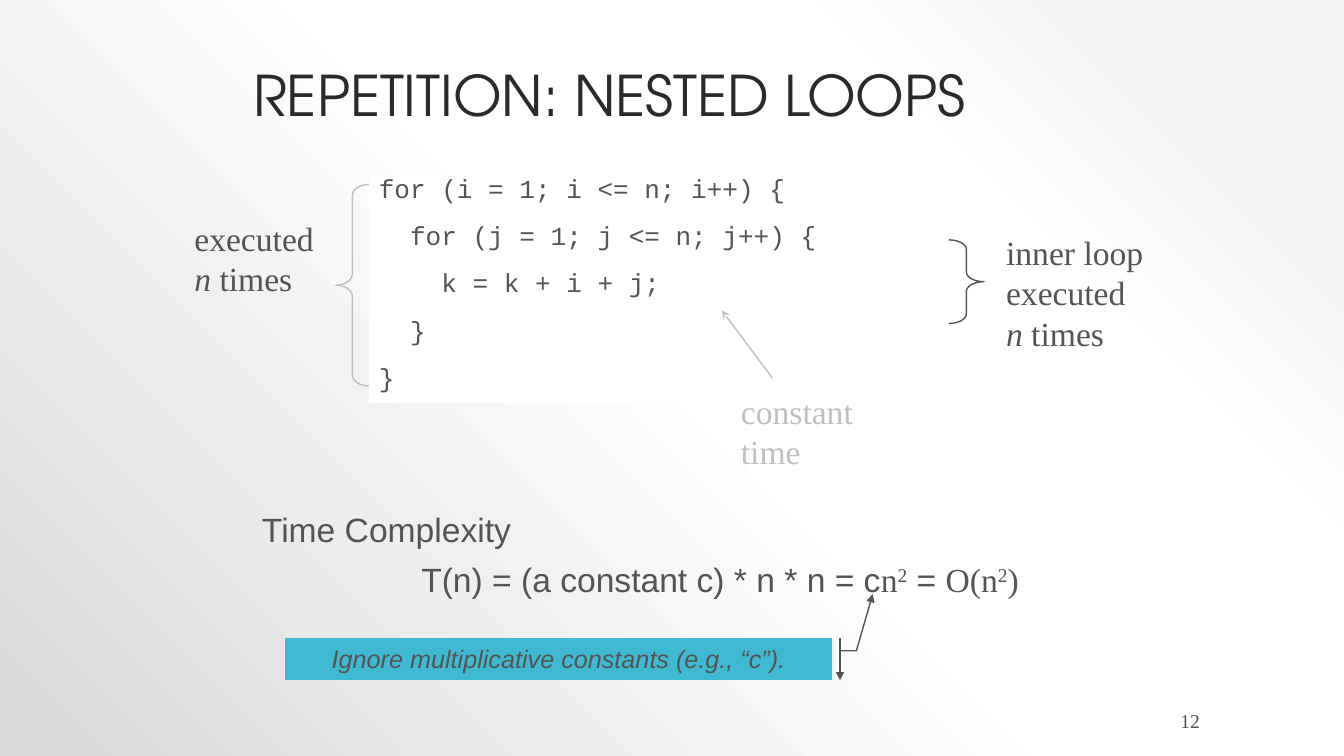
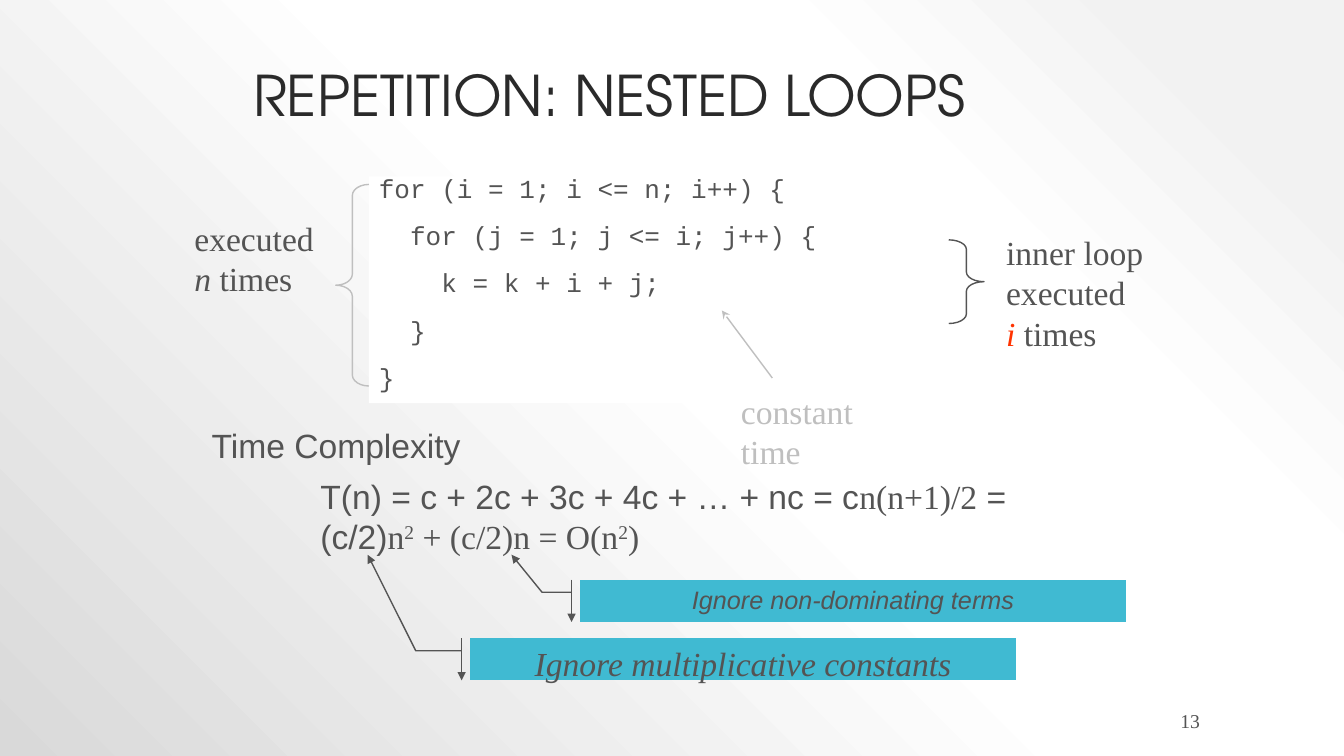
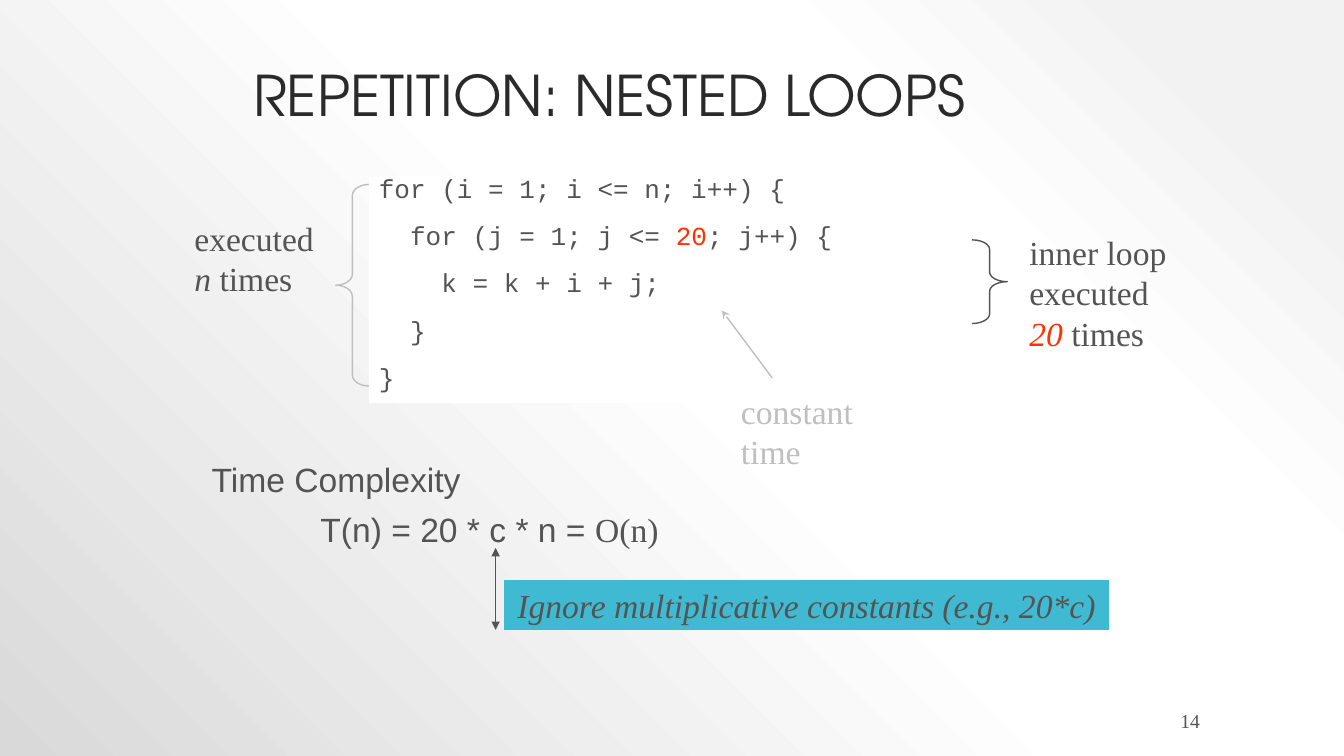
from dataclasses import dataclass

from lxml import etree
from pptx import Presentation
from pptx.dml.color import RGBColor
from pptx.enum.shapes import MSO_CONNECTOR, MSO_SHAPE
from pptx.enum.text import MSO_ANCHOR, MSO_AUTO_SIZE, PP_ALIGN
from pptx.oxml import parse_xml
from pptx.oxml.ns import nsdecls, qn
from pptx.util import Inches, Pt

LEFT, CENTER, RIGHT = PP_ALIGN.LEFT, PP_ALIGN.CENTER, PP_ALIGN.RIGHT
TOP, MIDDLE, BOTTOM = MSO_ANCHOR.TOP, MSO_ANCHOR.MIDDLE, MSO_ANCHOR.BOTTOM
NO_FIT, GROW = MSO_AUTO_SIZE.NONE, MSO_AUTO_SIZE.SHAPE_TO_FIT_TEXT
RECTANGLE = MSO_SHAPE.RECTANGLE
LEFT_BRACE, RIGHT_BRACE = MSO_SHAPE.LEFT_BRACE, MSO_SHAPE.RIGHT_BRACE
CALLOUT = MSO_SHAPE.LINE_CALLOUT_2_ACCENT_BAR
STRAIGHT = MSO_CONNECTOR.STRAIGHT


@dataclass(frozen=True)
class Theme:
    ink: str = "545454"
    title: str = "2A2A2A"
    muted: str = "BFBFBF"
    accent: str = "40BAD2"
    highlight: str = "FF3300"
    paper: str = "FFFFFF"
    backdrop: tuple = ((10, "F2F2F2"), (28, "FFFFFF"), (48, "FFFFFF"), (100, "D9D9D9"))
    title_font: str = "TeX Gyre Adventor"
    sans: str = "Arial"
    serif: str = "Times New Roman"
    mono: str = "Courier New"
    title_size: float = 40
    body_size: float = 24
    note_size: float = 18
    code_size: float = 18.6
    number_size: float = 14


THEME = Theme()

# Run styles: each lists what differs from serif body text
SANS = {"font": THEME.sans}
SERIF = {}
SUPER = {"superscript": True}
ITALIC = {"italic": True}
RED_ITALIC = {"italic": True, "color": THEME.highlight}
MUTED = {"color": THEME.muted}
NOTE = {"font": THEME.sans, "size": THEME.note_size, "italic": True}
CODE = {"font": THEME.mono, "size": THEME.code_size}
RED_CODE = {**CODE, "color": THEME.highlight}
TITLE = {"font": THEME.title_font, "size": THEME.title_size, "color": THEME.title}
NUMBER = {"size": THEME.number_size}

# Content
TITLE_TEXT = "REPETITION: NESTED LOOPS"
FIRST_NUMBER = 12
SLIDES = [
    {
        "limit": ("n", CODE),
        "inner_count": ("n", ITALIC),
        "brace_left": 9.41,
        "heading_at": (2.5, 5),
        "formula_box": (4.08, 5.5, 6.42, 0.5),
        "formula": [("T(n) = (a constant c) * n * n = c", SANS), ("n", SERIF), ("2", SUPER),
                    (" = ", SANS), ("O(n", SERIF), ("2", SUPER), (")", SERIF)],
        "callouts": [
            ((2.83, 6.33, 5.42, 0.42), (0.3, 1.015, 0.3, 1.045, -1.042, 1.075),
             ("Ignore multiplicative constants (e.g., “c”).", NOTE)),
        ],
    },
    {
        "limit": ("i", CODE),
        "inner_count": ("i", RED_ITALIC),
        "brace_left": 9.41,
        "heading_at": (2, 4.17),
        "formula_box": (3.08, 4.67, 7.42, 0.91),
        "formula": [("T(n) = c + 2c + 3c + 4c + … + nc = c", SANS), ("n(n+1)/2", SERIF),
                    (" = (c/2)", SANS), ("n", SERIF), ("2", SUPER),
                    (" + (c/2)n = O(n", SERIF), ("2", SUPER), (")", SERIF)],
        "callouts": [
            ((5.75, 5.75, 5.42, 0.42), (0.3, -0.015, 0.3, -0.069, -0.588, -0.125),
             ("Ignore non-dominating terms", NOTE)),
            ((4.66, 6.33, 5.42, 0.42), (0.3, -0.015, 0.3, -0.099, -1.967, -0.187),
             ("Ignore multiplicative constants", ITALIC)),
        ],
    },
    {
        "limit": ("20", RED_CODE),
        "inner_count": ("20", RED_ITALIC),
        "brace_left": 9.64,
        "heading_at": (2, 4.5),
        "formula_box": (3.08, 5, 7.42, 0.5),
        "formula": [("T(n) = 20 * c * n = ", SANS), ("O(n)", SERIF)],
        "callouts": [
            ((5, 5.75, 6, 0.5), (0.25, -0.014, 0.25, -0.014, -0.628, -0.014),
             ("Ignore multiplicative constants (e.g., 20*c)", ITALIC)),
        ],
    },
]


def rgb(color):
    return RGBColor.from_string(color)


def inches(values):
    return [Inches(value) for value in values]


# Text
def add_run(paragraph, text, style):
    run = paragraph.add_run()
    run.text = text
    font = run.font
    font.name = style.get("font", THEME.serif)
    font.size = Pt(style.get("size", THEME.body_size))
    font.italic = style.get("italic", False)
    font.color.rgb = rgb(style.get("color", THEME.ink))
    if style.get("superscript"):
        run._r.get_or_add_rPr().set("baseline", "30000")


def write(shape, paragraphs, align=LEFT, anchor=TOP, wrap=True, fit=NO_FIT,
          line_spacing=1.0, space_before=0):
    frame = shape.text_frame
    frame.word_wrap = wrap
    frame.auto_size = fit
    frame.vertical_anchor = anchor
    for index, runs in enumerate(paragraphs):
        paragraph = frame.add_paragraph() if index else frame.paragraphs[0]
        paragraph.alignment = align
        paragraph.line_spacing = line_spacing
        paragraph.space_before = Pt(space_before if index else 0)
        for text, style in runs:
            add_run(paragraph, text, style)


def add_text(slide, box, paragraphs, **options):
    write(slide.shapes.add_textbox(*inches(box)), paragraphs, **options)


# Shapes and lines
def add_shape(slide, kind, box, fill=None, line=None, adjustments=()):
    shape = slide.shapes.add_shape(kind, *inches(box))
    shape.shadow.inherit = False
    if fill:
        shape.fill.solid()
        shape.fill.fore_color.rgb = rgb(fill)
    else:
        shape.fill.background()
    if line:
        set_line(shape, line)
    else:
        shape.line.fill.background()
    for index, value in enumerate(adjustments):
        shape.adjustments[index] = value
    return shape


def set_line(shape, color):
    shape.line.color.rgb = rgb(color)
    shape.line.width = Pt(1)


def add_arrowhead(shape, kind):
    properties = shape.element.spPr
    etree.SubElement(properties.find(qn("a:ln")), qn("a:tailEnd"), type=kind)


def add_arrow(slide, start, end, color):
    arrow = slide.shapes.add_connector(STRAIGHT, *inches(start + end))
    set_line(arrow, color)
    add_arrowhead(arrow, "stealth")
    etree.SubElement(arrow.element.spPr, qn("a:effectLst"))


# Shared backdrop: a radial gradient centred on the top right corner
def set_backdrop(master):
    master.background.fill.gradient()
    gradient = master.element.find(".//" + qn("p:bg")).find(".//" + qn("a:gradFill"))
    stops = "".join(
        f'<a:gs pos="{position * 1000}"><a:srgbClr val="{color}"/></a:gs>'
        for position, color in THEME.backdrop)
    gradient.getparent().replace(gradient, parse_xml(
        f'<a:gradFill {nsdecls("a")} rotWithShape="1"><a:gsLst>{stops}</a:gsLst>'
        '<a:path path="circle"><a:fillToRect l="100000" b="100000"/></a:path>'
        '</a:gradFill>'))


# Parts of a slide
def add_frame(slide, number):
    title = slide.shapes.title
    title.left, title.top, title.width, title.height = inches((2.41, 0.31, 8.5, 1.02))
    write(title, [[(TITLE_TEXT, TITLE)]], anchor=BOTTOM, line_spacing=0.9)
    add_text(slide, (10.75, 7.05, 1.25, 0.2), [[(str(number), NUMBER)]],
             align=RIGHT, anchor=MIDDLE)


def add_code(slide, limit):
    lines = [
        [("for (i = 1; i <= n; i++) {", CODE)],
        [("  for (j = 1; j <= ", CODE), limit, ("; j++) {", CODE)],
        [("    k = k + i + j;", CODE)],
        [("  }", CODE)],
        [("}", CODE)],
    ]
    panel = add_shape(slide, RECTANGLE, (3.66, 1.75, 6, 2.25), fill=THEME.paper)
    write(panel, lines, line_spacing=0.7, space_before=18)


def add_loop_notes(slide, inner_count, brace_left):
    label = {"wrap": False, "fit": GROW}
    add_text(slide, (7.25, 3.83, 1.98, 0.5), [[("constant time", MUTED)]], **label)
    add_arrow(slide, (7.66, 3.75), (7.16, 3.08), THEME.muted)
    add_text(slide, (1.83, 2.11, 1.4, 0.91),
             [[("executed", SERIF)], [("n", ITALIC), (" times", SERIF)]], **label)
    add_shape(slide, LEFT_BRACE, (3.33, 1.83, 0.33, 2), line=THEME.muted,
              adjustments=(0.333, 0.5))
    add_shape(slide, RIGHT_BRACE, (brace_left, 2.38, 0.35, 0.83), line=THEME.ink,
              adjustments=(0.271, 0.5))
    add_text(slide, (brace_left + 0.47, 2.25, 1.58, 1.31),
             [[("inner loop", SERIF)], [("executed", SERIF)],
              [inner_count, (" times", SERIF)]], **label)


def add_complexity(slide, heading_at, formula_box, formula, callouts):
    add_text(slide, heading_at + (2.92, 0.5), [[("Time Complexity", SANS)]], fit=GROW)
    add_text(slide, formula_box, [formula], fit=GROW)
    for box, pointer, note in callouts:
        callout = add_shape(slide, CALLOUT, box, THEME.accent, THEME.ink, pointer)
        add_arrowhead(callout, "triangle")
        write(callout, [[note]], align=CENTER)


def main():
    presentation = Presentation()
    presentation.slide_width, presentation.slide_height = inches((13.33, 7.5))
    set_backdrop(presentation.slide_master)
    title_only = presentation.slide_layouts[5]
    for number, content in enumerate(SLIDES, FIRST_NUMBER):
        slide = presentation.slides.add_slide(title_only)
        add_frame(slide, number)
        add_code(slide, content["limit"])
        add_loop_notes(slide, content["inner_count"], content["brace_left"])
        add_complexity(slide, content["heading_at"], content["formula_box"],
                       content["formula"], content["callouts"])
    presentation.save("out.pptx")


if __name__ == "__main__":
    main()
